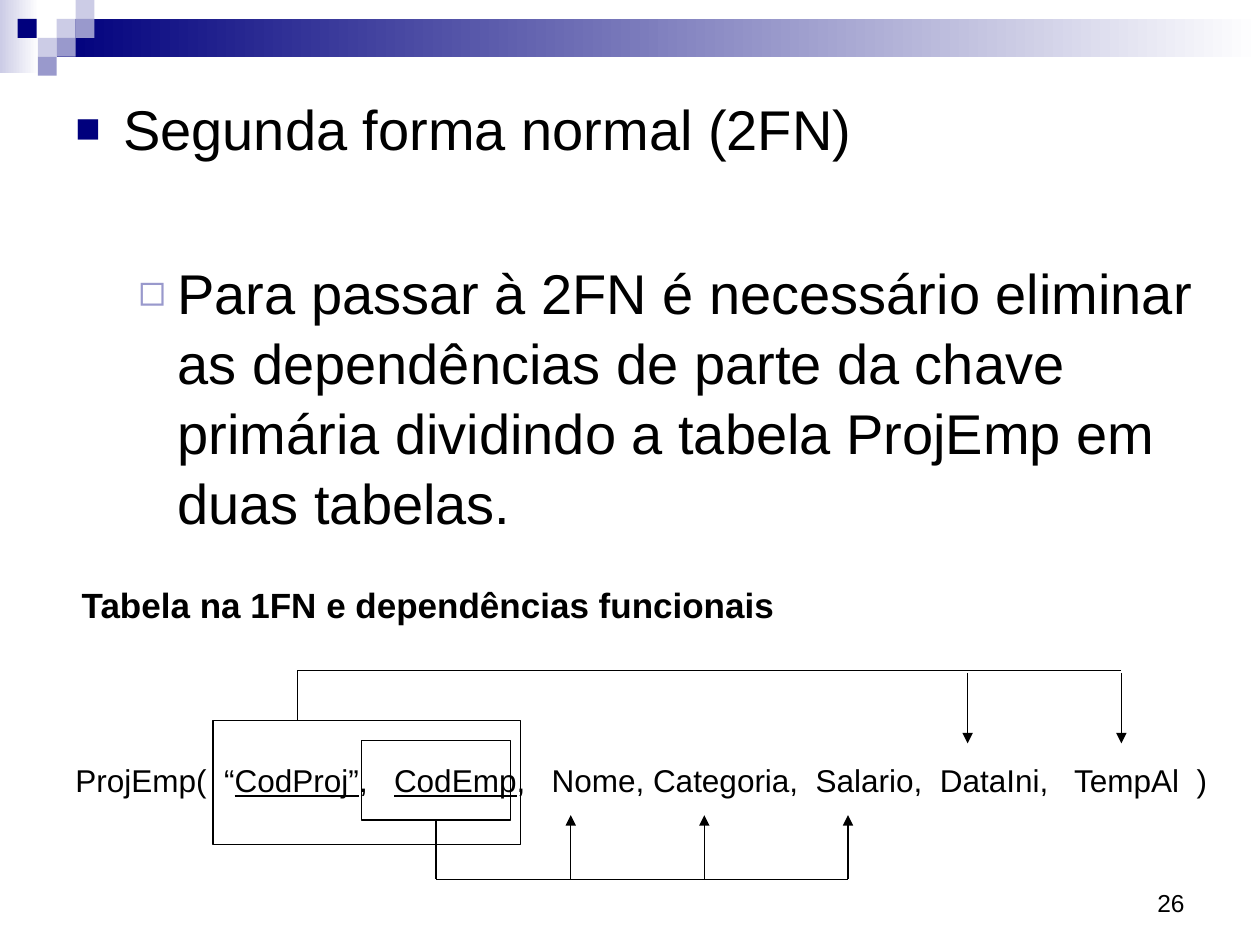
from lxml import etree
from pptx import Presentation
from pptx.dml.color import RGBColor
from pptx.enum import shapes, text
from pptx.oxml import ns
from pptx.util import Inches, Pt

NAVY, LILAC, PALE, WHITE, BLACK = "00007D", "9999CC", "CCCCE6", "FFFFFF", "000000"


def rgb(value):
    return RGBColor.from_string(value)


def sub(parent, tag, **attrs):
    return etree.SubElement(parent, ns.qn(tag), attrs)


def add_rect(s, left, top, width, height, fill=None, fade_to=None, line=None):
    sp = s.shapes.add_shape(shapes.MSO_SHAPE.RECTANGLE, Inches(left), Inches(top),
                            Inches(width), Inches(height))
    sp.shadow.inherit = False
    if fade_to:
        sp.fill.gradient()
        sp.fill.gradient_angle = 0
        for stop, color in zip(sp.fill.gradient_stops, (fill, fade_to)):
            stop.color.rgb = rgb(color)
    elif fill:
        sp.fill.solid()
        sp.fill.fore_color.rgb = rgb(fill)
    else:
        sp.fill.background()
    if line:
        sp.line.color.rgb = rgb(line)
        sp.line.width = Pt(0.75)
    else:
        sp.line.fill.background()


def add_line(s, x1, y1, x2, y2, arrow=False):
    cxn = s.shapes.add_connector(shapes.MSO_CONNECTOR.STRAIGHT, Inches(x1), Inches(y1),
                                 Inches(x2), Inches(y2))
    cxn.line.color.rgb = rgb(BLACK)
    cxn.line.width = Pt(0.75)
    if arrow:
        sub(cxn.line._get_or_add_ln(), "a:tailEnd", type="triangle")
    sub(cxn._element.spPr, "a:effectLst")


def add_text_frame(s, left, top, width, height, wrap=False):
    box = s.shapes.add_textbox(Inches(left), Inches(top), Inches(width), Inches(height))
    box.text_frame.word_wrap = wrap
    return box.text_frame


def add_run(p, content, size, bold=False, underline=False):
    r = p.add_run()
    r.text = content
    r.font.name = "Arial"
    r.font.size = Pt(size)
    r.font.bold = bold
    r.font.underline = underline
    r.font.color.rgb = rgb(BLACK)


def set_bullet(p, char, color, percent, margin, hang):
    pPr = p._p.get_or_add_pPr()
    pPr.set("marL", str(Inches(margin)))
    pPr.set("indent", str(-Inches(hang)))
    sub(sub(pPr, "a:buClr"), "a:srgbClr", val=color)
    sub(pPr, "a:buSzPct", val=str(percent * 1000))
    sub(pPr, "a:buFont", typeface="Arial")
    sub(pPr, "a:buChar", char=char)


def add_banner(s):
    add_rect(s, 0, 0, 0.31, 0.58, PALE, fade_to=WHITE)
    add_rect(s, 0.45, 0.15, 9.55, 0.3, NAVY, fade_to=WHITE)
    tiles = [(0.45, 0.15, PALE), (0.6, 0, PALE), (0.6, 0.15, LILAC), (0.3, 0.3, PALE),
             (0.14, 0.15, NAVY), (0.45, 0.3, LILAC), (0.3, 0.45, LILAC)]
    for left, top, color in tiles:
        add_rect(s, left, top, 0.15, 0.15, color)


def add_body(s):
    tf = add_text_frame(s, 0.5, 0.68, 9.19, 3.86, wrap=True)
    heading, detail = tf.paragraphs[0], tf.add_paragraph()
    for p, before in ((heading, 8), (detail, 54)):
        p.line_spacing = 1.04
        p.space_before = Pt(before)
    detail.level = 1
    set_bullet(heading, "■", NAVY, 75, 0.38, 0.38)
    set_bullet(detail, "◻", LILAC, 80, 0.81, 0.31)
    add_run(heading, "Segunda forma normal (2FN)", 32)
    add_run(detail, "Para passar à 2FN é necessário eliminar as dependências de parte da "
                    "chave primária dividindo a tabela ProjEmp em duas tabelas.", 32)


def add_relation(s):
    p = add_text_frame(s, 0.5, 5.99, 9.22, 0.4).paragraphs[0]
    for content, is_key in (("ProjEmp(  “", False), ("CodProj”", True), (",   ", False),
                            ("CodEmp", True),
                            (",   Nome, Categoria,  Salario,  DataIni,   TempAl  )", False)):
        add_run(p, content, 18, underline=is_key)


def add_dependencies(s):
    # Whole key and partial key
    add_rect(s, 1.69, 5.72, 2.44, 0.98, line=BLACK)
    add_rect(s, 2.87, 5.88, 1.18, 0.63, line=BLACK)

    # Whole key determines DataIni and TempAl
    add_line(s, 2.36, 5.72, 2.36, 5.32)
    add_line(s, 2.36, 5.32, 8.9, 5.32)
    for x in (7.68, 8.9):
        add_line(s, x, 5.34, x, 5.9, arrow=True)

    # CodEmp alone determines Nome, Categoria and Salario
    add_line(s, 3.46, 6.51, 3.46, 6.98)
    add_line(s, 3.46, 6.98, 6.73, 6.98)
    for x in (4.53, 5.59, 6.73):
        add_line(s, x, 6.98, x, 6.47, arrow=True)


def main():
    prs = Presentation()
    prs.slide_width, prs.slide_height = Inches(10), Inches(7.5)
    s = prs.slides.add_slide(prs.slide_layouts[6])

    add_banner(s)

    # Slide number
    tf = add_text_frame(s, 7.17, 6.83, 2.33, 0.5, wrap=True)
    tf.vertical_anchor = text.MSO_ANCHOR.BOTTOM
    tf.paragraphs[0].alignment = text.PP_ALIGN.RIGHT
    add_run(tf.paragraphs[0], "26", 14)

    add_body(s)
    add_relation(s)
    add_dependencies(s)

    # Diagram caption
    tf = add_text_frame(s, 0.55, 4.58, 5.72, 0.44)
    add_run(tf.paragraphs[0], "Tabela na 1FN e dependências funcionais", 20, bold=True)

    prs.save("out.pptx")


if __name__ == "__main__":
    main()
